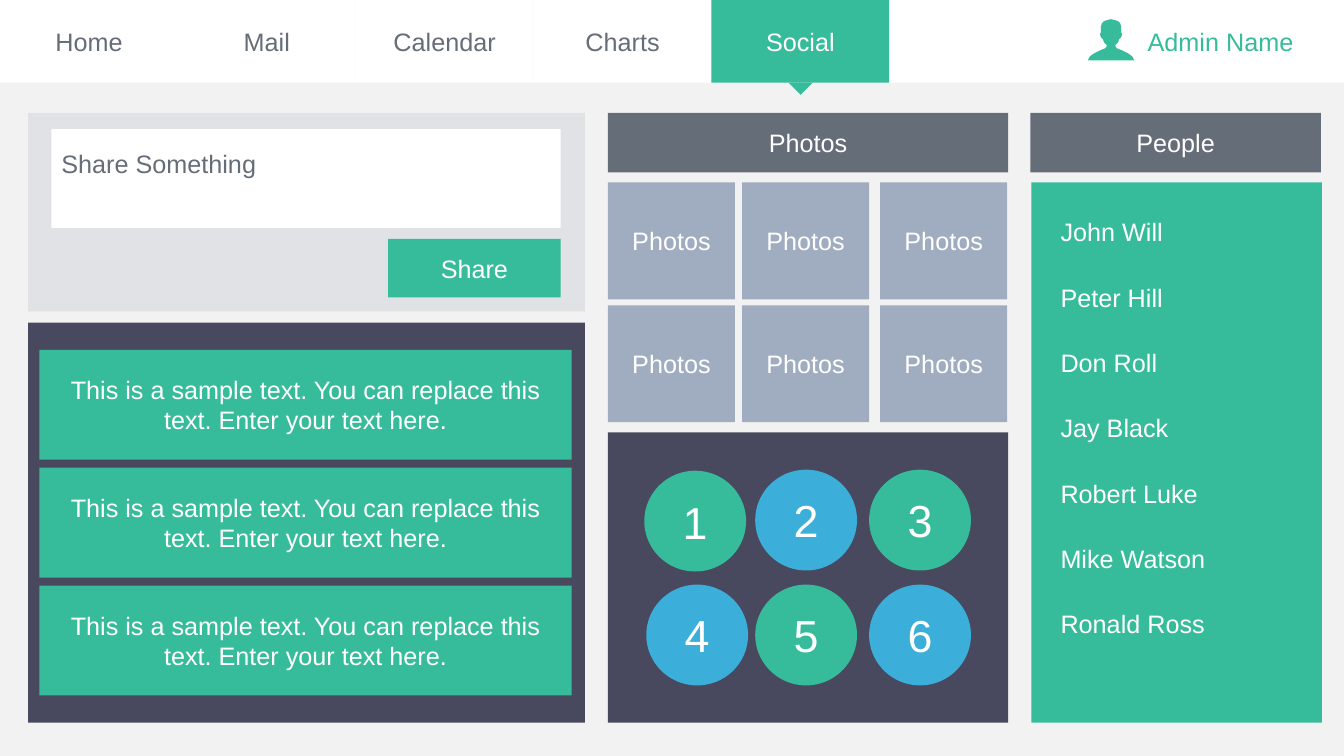
from pptx import Presentation
from pptx.dml.color import RGBColor
from pptx.enum.shapes import MSO_SHAPE
from pptx.enum.text import MSO_ANCHOR, MSO_AUTO_SIZE, PP_ALIGN
from pptx.util import Inches, Pt

RECTANGLE = MSO_SHAPE.RECTANGLE
OVAL = MSO_SHAPE.OVAL
TRIANGLE = MSO_SHAPE.ISOSCELES_TRIANGLE
MIDDLE = MSO_ANCHOR.MIDDLE
GROW = MSO_AUTO_SIZE.SHAPE_TO_FIT_TEXT
LEFT = PP_ALIGN.LEFT
CENTER = PP_ALIGN.CENTER

COLORS = {
    "background": "F2F2F2",
    "white": "FFFFFF",
    "green": "36BC9B",
    "blue": "3BAEDA",
    "gray": "656D78",
    "light": "E0E2E5",
    "dark": "48495E",
    "photo": "A0ACBF",
}
NAVIGATION = ["Home", "Mail", "Calendar", "Charts", "Social"]
PEOPLE = ["John Will", "Peter Hill", "Don Roll", "Jay Black",
          "Robert Luke", "Mike Watson", "Ronald Ross"]
SAMPLE_TEXT = "This is a sample text. You can replace this text. Enter your text here."
PHOTO_LEFTS = [6.03, 7.36, 8.73]
CIRCLES = [(6.39, 4.67, "green"), (7.49, 4.66, "blue"), (8.62, 4.66, "green"),
           (6.41, 5.8, "blue"), (7.49, 5.8, "green"), (8.62, 5.8, "blue")]
AVATAR_CENTER = 11.02
AVATAR_HALF = [(0, 0.19), (0.04, 0.2), (0.07, 0.21), (0.09, 0.23), (0.1, 0.26),
               (0.1, 0.32), (0.11, 0.34), (0.1, 0.37), (0.08, 0.39), (0.07, 0.42),
               (0.04, 0.45), (0.05, 0.47), (0.06, 0.48), (0.11, 0.5),
               (0.17, 0.53), (0.21, 0.56), (0.23, 0.6)]


def rgb(name):
    return RGBColor.from_string(COLORS[name])


def paint(shape, fill):
    shape.fill.solid()
    shape.fill.fore_color.rgb = rgb(fill)
    shape.line.fill.background()
    shape.shadow.inherit = False


def write(shape, text, color, align, size=18):
    shape.text_frame.word_wrap = True
    paragraph = shape.text_frame.paragraphs[0]
    paragraph.alignment = align
    run = paragraph.add_run()
    run.text = text
    run.font.name = "Arial"
    run.font.size = Pt(size)
    run.font.color.rgb = rgb(color)


def add_block(shapes, box, fill, text="", color="white", align=CENTER,
              size=18, kind=RECTANGLE):
    shape = shapes.add_shape(kind, *map(Inches, box))
    paint(shape, fill)
    shape.text_frame.vertical_anchor = MIDDLE
    if text:
        write(shape, text, color, align, size)
    return shape


def add_text(shapes, box, text, color, align):
    text_box = shapes.add_textbox(*map(Inches, box))
    write(text_box, text, color, align)
    text_box.text_frame.auto_size = GROW


def add_avatar(shapes):
    right = [(AVATAR_CENTER + x, y) for x, y in AVATAR_HALF]
    left = [(AVATAR_CENTER - x, y) for x, y in reversed(AVATAR_HALF)]
    points = [(Inches(x), Inches(y)) for x, y in right + left[:-1]]
    builder = shapes.build_freeform(*points[0])
    builder.add_line_segments(points[1:], close=True)
    paint(builder.convert_to_shape(), "green")


def add_navigation(shapes):
    tab_width = 1.764
    for index, label in enumerate(NAVIGATION):
        active = label == "Social"
        add_block(shapes, (index * tab_width, 0, tab_width, 0.82),
                  "green" if active else "white", label,
                  "white" if active else "gray")
    add_block(shapes, (8.82, 0, 4.51, 0.82), "white")
    pointer = add_block(shapes, (7.82, 0.82, 0.24, 0.12), "green", kind=TRIANGLE)
    pointer.rotation = 180
    add_text(shapes, (11.11, 0.21, 1.99, 0.4), "Admin Name", "green", CENTER)
    add_avatar(shapes)


def add_share_panel(shapes):
    add_block(shapes, (0.28, 1.12, 5.52, 1.97), "light")
    entry = add_block(shapes, (0.51, 1.28, 5.05, 0.98), "white",
                      "Share Something", "gray", LEFT)
    entry.text_frame.margin_bottom = Inches(0.35)
    add_block(shapes, (3.85, 2.37, 1.71, 0.58), "green", "Share")


def add_posts(shapes):
    add_block(shapes, (0.28, 3.2, 5.52, 3.97), "dark")
    for index in range(3):
        add_block(shapes, (0.39, 3.47 + index * 1.17, 5.28, 1.09), "green", SAMPLE_TEXT)


def add_photos(shapes):
    add_block(shapes, (6.03, 1.12, 3.97, 0.59), "gray", "Photos")
    group = shapes.add_group_shape()
    for top in (1.81, 3.03):
        for left in PHOTO_LEFTS:
            add_block(group.shapes, (left, top, 1.26, 1.16), "photo", "Photos")


def add_circles(shapes):
    add_block(shapes, (6.03, 4.29, 3.97, 2.88), "dark")
    for number, (left, top, fill) in enumerate(CIRCLES, 1):
        add_block(shapes, (left, top, 1.01, 1), fill, str(number), size=32, kind=OVAL)


def add_people(shapes):
    add_block(shapes, (10.23, 1.81, 2.88, 5.36), "green")
    add_block(shapes, (10.22, 1.12, 2.88, 0.59), "gray", "People")
    for index, name in enumerate(PEOPLE):
        add_text(shapes, (10.42, 2.1 + index * 0.648, 2.68, 0.4), name, "white", LEFT)


def main():
    presentation = Presentation()
    presentation.slide_width = Inches(13.33)
    presentation.slide_height = Inches(7.5)
    slide = presentation.slides.add_slide(presentation.slide_layouts[6])
    slide.background.fill.solid()
    slide.background.fill.fore_color.rgb = rgb("background")
    for add_section in (add_navigation, add_share_panel, add_posts,
                        add_photos, add_circles, add_people):
        add_section(slide.shapes)
    presentation.save("out.pptx")


if __name__ == "__main__":
    main()
